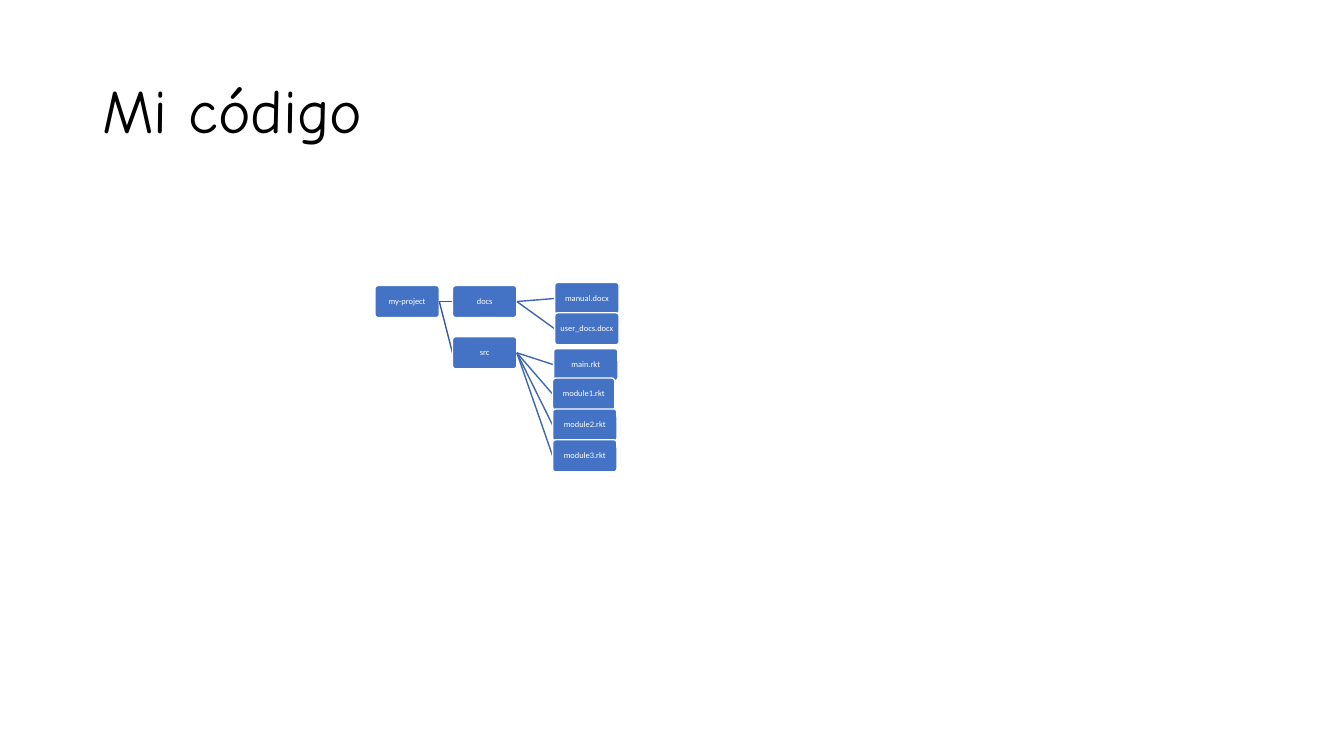
import pptx
import pptx.util
import pptx.oxml
import pptx.dml.color
import pptx.enum.shapes
import pptx.enum.text

Pt = pptx.util.Pt
RGBColor = pptx.dml.color.RGBColor
MSO_SHAPE = pptx.enum.shapes.MSO_SHAPE
MSO_CONNECTOR = pptx.enum.shapes.MSO_CONNECTOR
MSO_ANCHOR = pptx.enum.text.MSO_ANCHOR
PP_ALIGN = pptx.enum.text.PP_ALIGN

BLACK = RGBColor(0x00, 0x00, 0x00)
WHITE = RGBColor(0xFF, 0xFF, 0xFF)
BLUE = RGBColor(0x44, 0x72, 0xC4)
ROOT_LINE = RGBColor(0x36, 0x5B, 0x9D)
LEAF_LINE = RGBColor(0x3E, 0x67, 0xB2)

NODE_W, NODE_H = 46, 23
LEFT_SITE, RIGHT_SITE = 1, 3  # connection sites of a rounded rectangle


class Deck:
    """Holds the style and the current slide."""
    title_font, title_size = "Comic Neue", 44
    node_font, node_size = "Calibri", 6

    def __init__(self, slide):
        self.s = slide

    def label(self, sp, text, font, size, color, align):
        tf = sp.text_frame
        tf.word_wrap = True
        tf.vertical_anchor = MSO_ANCHOR.MIDDLE
        p = tf.paragraphs[0]
        p.text = text
        p.alignment = align
        p.line_spacing = 0.9
        p.font.name, p.font.size = font, Pt(size)
        p.font.color.rgb = color
        return tf

    def title(self, text, x, y, w, h):
        sp = self.s.shapes.add_textbox(Pt(x), Pt(y), Pt(w), Pt(h))
        self.label(sp, text, self.title_font, self.title_size, BLACK, PP_ALIGN.LEFT)

    def node(self, text, x, y, w=NODE_W):
        sp = self.s.shapes.add_shape(MSO_SHAPE.ROUNDED_RECTANGLE,
                                     Pt(x), Pt(y), Pt(w), Pt(NODE_H))
        sp.adjustments[0] = 0.1
        sp.shadow.inherit = False
        sp.fill.solid()
        sp.fill.fore_color.rgb = BLUE
        sp.line.color.rgb = WHITE
        sp.line.width = Pt(1)
        tf = self.label(sp, text, self.node_font, self.node_size, WHITE, PP_ALIGN.CENTER)
        tf.margin_left = tf.margin_right = tf.margin_top = tf.margin_bottom = Pt(0.7)
        return sp

    def child(self, parent, color, *node):
        """Adds a node in front of the line that joins it to its parent."""
        line = self.s.shapes.add_connector(MSO_CONNECTOR.STRAIGHT, 0, 0, 0, 0)
        sp = self.node(*node)
        line.begin_connect(parent, RIGHT_SITE)
        line.end_connect(sp, LEFT_SITE)
        line.line.color.rgb = color
        line.line.width = Pt(1)
        line._element.spPr.append(pptx.oxml.parse_xml(
            '<a:effectLst xmlns:a="http://schemas.openxmlformats.org/drawingml/2006/main"/>'))
        return sp


prs = pptx.Presentation()
prs.slide_width, prs.slide_height = Pt(960), Pt(540)
deck = Deck(prs.slides.add_slide(prs.slide_layouts[6]))

# Title
deck.title("Mi código", 66, 28.75, 828, 104.4)

# Project tree: folders, each with its files (name, left, top, width)
FOLDERS = [
    ("docs", 203.9, [("manual.docx", 396.2, 201.7),
                     ("user_docs.docx", 396.2, 223.4)]),
    ("src", 240.5, [("main.rkt", 395.4, 249),
                    ("module1.rkt", 394.7, 270, 44.5),
                    ("module2.rkt", 394.7, 292.1),
                    ("module3.rkt", 394.7, 314.1)]),
]
root = deck.node("my-project", 267.8, 203.9)
for name, top, files in FOLDERS:
    folder = deck.child(root, ROOT_LINE, name, 323.2, top)
    for file in files:
        deck.child(folder, LEAF_LINE, *file)

prs.save("out.pptx")
